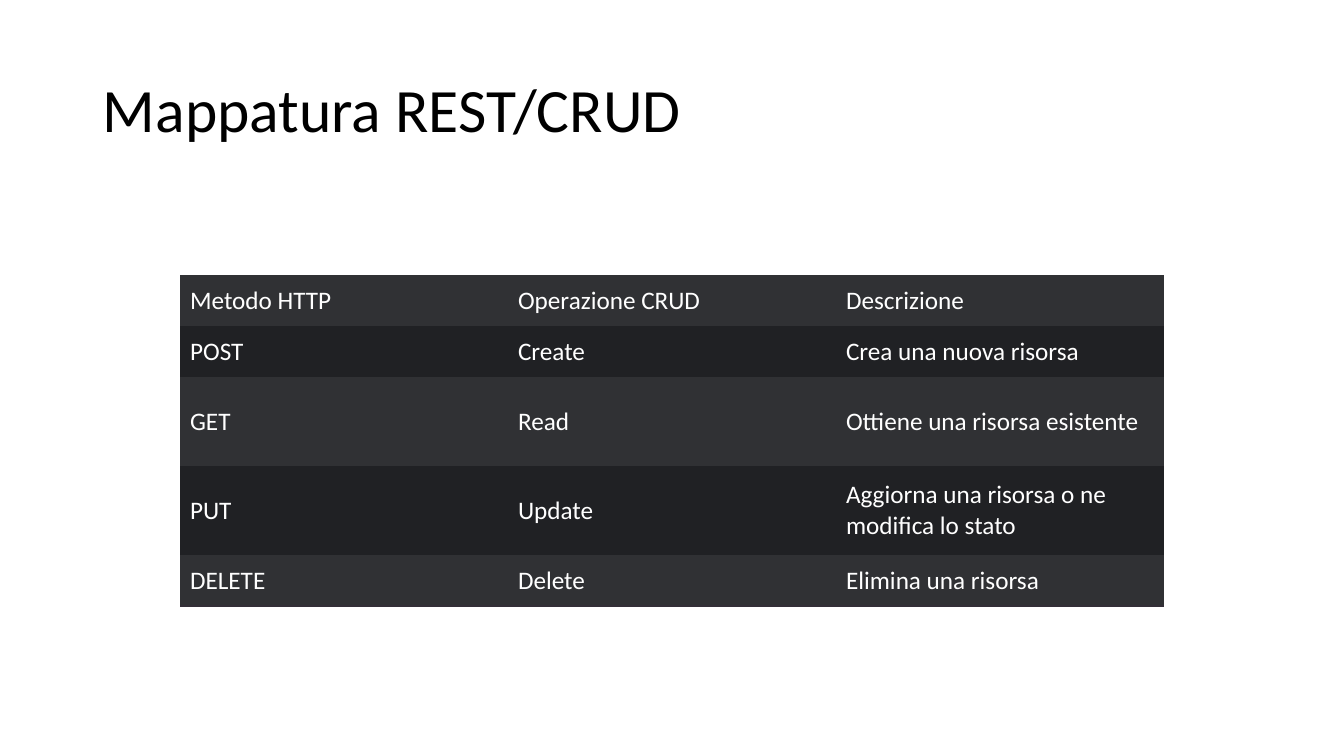
from lxml import etree
from pptx import Presentation
from pptx import util as u
from pptx.dml.color import RGBColor
from pptx.enum import text
from pptx.oxml.ns import qn

PX = 914400 / 100.8
WHITE, BLACK = "FFFFFF", "000000"
BANDS = ["303134", "202124"]
BOTTOM_RULE = "332E37"

COL_WIDTH = 328
ROW_HEIGHTS = [51, 51, 89, 89, 51]
ROWS = [
    ["Metodo HTTP", "Operazione CRUD", "Descrizione"],
    ["POST", "Create", "Crea una nuova risorsa"],
    ["GET", "Read", "Ottiene una risorsa esistente"],
    ["PUT", "Update", "Aggiorna una risorsa o ne modifica lo stato"],
    ["DELETE", "Delete", "Elimina una risorsa"],
]


def px(*lengths):
    return [u.Emu(round(n * PX)) for n in lengths]


def write(tf, words, size=18, color=WHITE, spacing=1.0):
    tf.word_wrap = True
    p = tf.paragraphs[0]
    p.line_spacing = spacing
    r = p.add_run()
    r.text = words
    r.font.name = "Calibri"
    r.font.size = u.Pt(size)
    r.font.bold = False
    r.font.color.rgb = RGBColor.from_string(color)


prs = Presentation()
prs.slide_width, prs.slide_height = px(1344, 756)
s = prs.slides.add_slide(prs.slide_layouts[6])

title = s.shapes.add_textbox(*px(93, 40, 1159, 146))
title.text_frame.vertical_anchor = text.MSO_ANCHOR.MIDDLE
write(title.text_frame, "Mappatura REST/CRUD", size=44, color=BLACK, spacing=0.9)

frame = s.shapes.add_table(len(ROWS), len(ROWS[0]),
                           *px(180, 275, COL_WIDTH * len(ROWS[0]), sum(ROW_HEIGHTS)))
table = frame.table
table.first_row = table.horz_banding = False
for col in table.columns:
    col.width = px(COL_WIDTH)[0]

for i, (row, height) in enumerate(zip(ROWS, ROW_HEIGHTS)):
    table.rows[i].height = px(height)[0]
    for j, words in enumerate(row):
        cell = table.cell(i, j)
        cell.vertical_anchor = text.MSO_ANCHOR.MIDDLE
        write(cell.text_frame, words)
        props = cell._tc.get_or_add_tcPr()
        for side in ("a:lnL", "a:lnR", "a:lnT", "a:lnB"):
            ln = etree.SubElement(props, qn(side))
            if side == "a:lnB" and i == len(ROWS) - 1:
                ln.set("w", str(u.Pt(2.25)))
                fill = etree.SubElement(ln, qn("a:solidFill"))
                etree.SubElement(fill, qn("a:srgbClr"), val=BOTTOM_RULE)
            else:
                etree.SubElement(ln, qn("a:noFill"))
        cell.fill.solid()
        cell.fill.fore_color.rgb = RGBColor.from_string(BANDS[i % 2])

prs.save("out.pptx")
